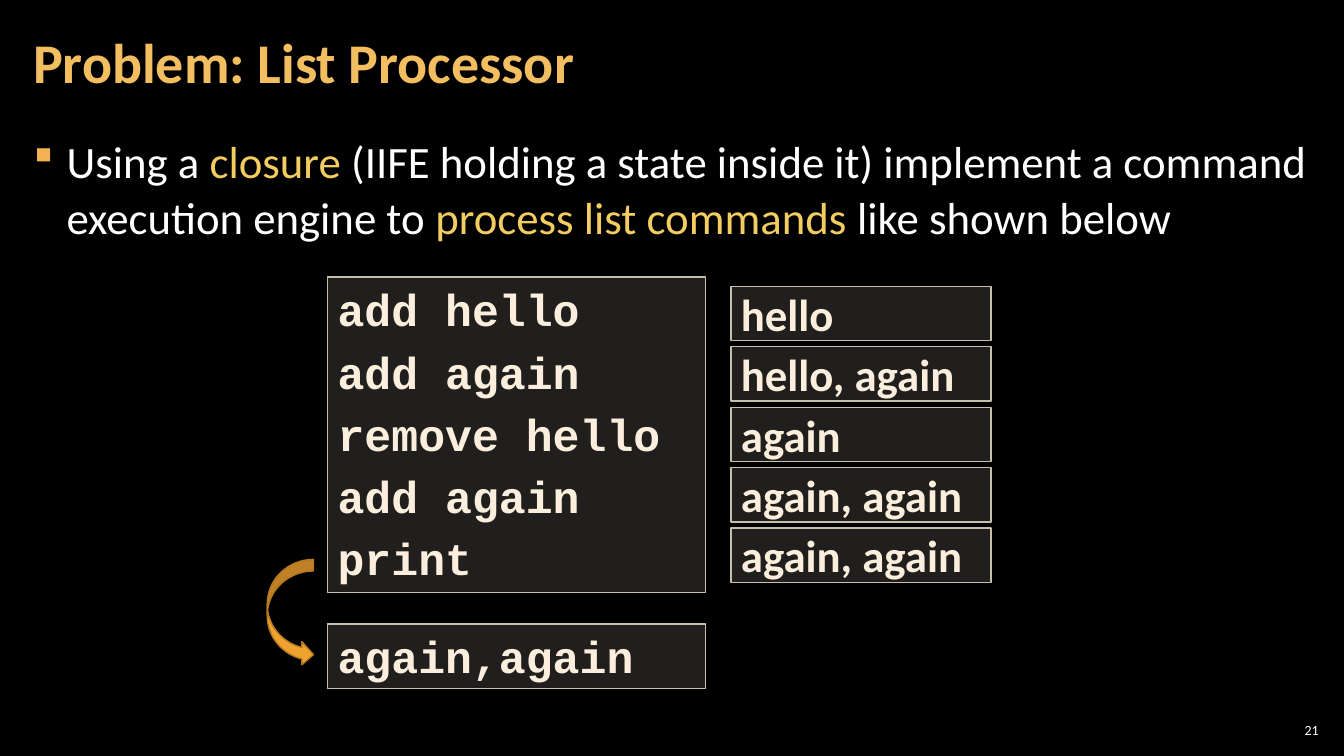
from lxml import etree
from pptx import Presentation
from pptx.dml.color import RGBColor
from pptx.enum.shapes import MSO_SHAPE
from pptx.enum.text import MSO_ANCHOR, PP_ALIGN
from pptx.oxml.ns import qn
from pptx.util import Inches, Pt

RECTANGLE = MSO_SHAPE.RECTANGLE
CURVED_ARROW = MSO_SHAPE.CURVED_RIGHT_ARROW
TOP, MIDDLE = MSO_ANCHOR.TOP, MSO_ANCHOR.MIDDLE
LEFT, RIGHT = PP_ALIGN.LEFT, PP_ALIGN.RIGHT

BLACK = RGBColor(0x00, 0x00, 0x00)
WHITE = RGBColor(0xFF, 0xFF, 0xFF)
TITLE_GOLD = RGBColor(0xF3, 0xBE, 0x60)
KEYWORD_GOLD = RGBColor(0xF3, 0xCD, 0x60)
BULLET_GOLD = RGBColor(0xF2, 0xB2, 0x54)
PANEL_FILL = RGBColor(0xD9, 0xD5, 0xC7)
PANEL_LINE = RGBColor(0xC7, 0xBF, 0xAC)
PANEL_TEXT = RGBColor(0xFB, 0xEE, 0xDC)
ARROW_FILL = RGBColor(0xF0, 0xA2, 0x2E)
ARROW_LINE = RGBColor(0xB2, 0x78, 0x22)

deck = Presentation()
deck.slide_width, deck.slide_height = Inches(13.33), Inches(7.5)
slide = deck.slides.add_slide(deck.slide_layouts[6])
slide.background.fill.solid()
slide.background.fill.fore_color.rgb = BLACK


def add_text(left, top, width, height, side_inset, anchor):
    """Add an empty wrapping text box and return its text frame."""
    frame = slide.shapes.add_textbox(
        Inches(left), Inches(top), Inches(width), Inches(height)).text_frame
    frame.word_wrap = True
    frame.vertical_anchor = anchor
    frame.margin_left = frame.margin_right = Inches(side_inset)
    frame.margin_top = frame.margin_bottom = Inches(0.04)
    return frame


def add_panel(left, top, width, height, lines, font_name, inset):
    """Add a translucent framed box with one paragraph per line."""
    panel = slide.shapes.add_shape(
        RECTANGLE, Inches(left), Inches(top), Inches(width), Inches(height))
    panel.shadow.inherit = False
    panel.fill.solid()
    panel.fill.fore_color.rgb = PANEL_FILL
    color = panel.fill._xPr.find(qn("a:solidFill"))[0]
    etree.SubElement(color, qn("a:alpha"), val="15000")
    panel.line.color.rgb = PANEL_LINE
    panel.line.width = Pt(1)
    frame = panel.text_frame
    frame.word_wrap = True
    frame.vertical_anchor = TOP
    frame.margin_top = frame.margin_bottom = Inches(inset)
    frame.text = "\n".join(lines)
    for index, para in enumerate(frame.paragraphs):
        para.alignment = LEFT
        para.space_before = Pt(6 if index else 0)
        para.font.name = font_name
        para.font.size = Pt(32)
        para.font.bold = True
        para.font.color.rgb = PANEL_TEXT


# Page number
number = add_text(12.65, 7.14, 0.47, 0.21, 0.04, MIDDLE).paragraphs[0]
number.text = "21"
number.alignment = RIGHT
number.font.name = "Calibri"
number.font.size = Pt(10)
number.font.color.rgb = WHITE

# Task; in Wingdings the character § is drawn as a small square
task = add_text(0.21, 1.26, 12.91, 6.09, 0.12, TOP).paragraphs[0]
task.line_spacing = 1.05
task.space_after = Pt(6)
properties = task._p.get_or_add_pPr()
properties.set("marL", str(Inches(0.33)))
properties.set("indent", str(Inches(-0.33)))
bullet_color = etree.SubElement(properties, qn("a:buClr"))
etree.SubElement(bullet_color, qn("a:srgbClr"), val=str(BULLET_GOLD))
etree.SubElement(properties, qn("a:buFont"), typeface="Wingdings", charset="2")
etree.SubElement(properties, qn("a:buChar"), char="§")
for text, color in (
    ("Using a ", WHITE),
    ("closure", KEYWORD_GOLD),
    (" (IIFE holding a state inside it) implement a command execution engine to ", WHITE),
    ("process list commands ", KEYWORD_GOLD),
    ("like shown below", WHITE),
):
    span = task.add_run()
    span.text = text
    span.font.name = "Calibri"
    span.font.size = Pt(32)
    span.font.color.rgb = color

# Title
title = add_text(0.21, 0.04, 10.47, 1.21, 0.12, MIDDLE).paragraphs[0]
title.text = "Problem: List Processor"
title.line_spacing = 0.9
title.font.name = "Calibri"
title.font.size = Pt(40)
title.font.bold = True
title.font.color.rgb = TITLE_GOLD

# List state after each command
states = ("hello", "hello, again", "again", "again, again", "again, again")
for row, state in enumerate(states):
    add_panel(7.25, 2.84 + 0.6 * row, 2.58, 0.54, [state], "Calibri", 0)

# Commands and printed output
commands = ["add hello", "add again", "remove hello", "add again", "print"]
add_panel(3.25, 2.75, 3.75, 3.13, commands, "Courier New", 0.05)
add_panel(3.25, 6.19, 3.75, 0.64, ["again,again"], "Courier New", 0.05)

arrow = slide.shapes.add_shape(
    CURVED_ARROW, Inches(2.65), Inches(5.55), Inches(0.46), Inches(1.06))
arrow.shadow.inherit = False
arrow.fill.solid()
arrow.fill.fore_color.rgb = ARROW_FILL
arrow.line.color.rgb = ARROW_LINE
arrow.line.width = Pt(1)

deck.save("out.pptx")
